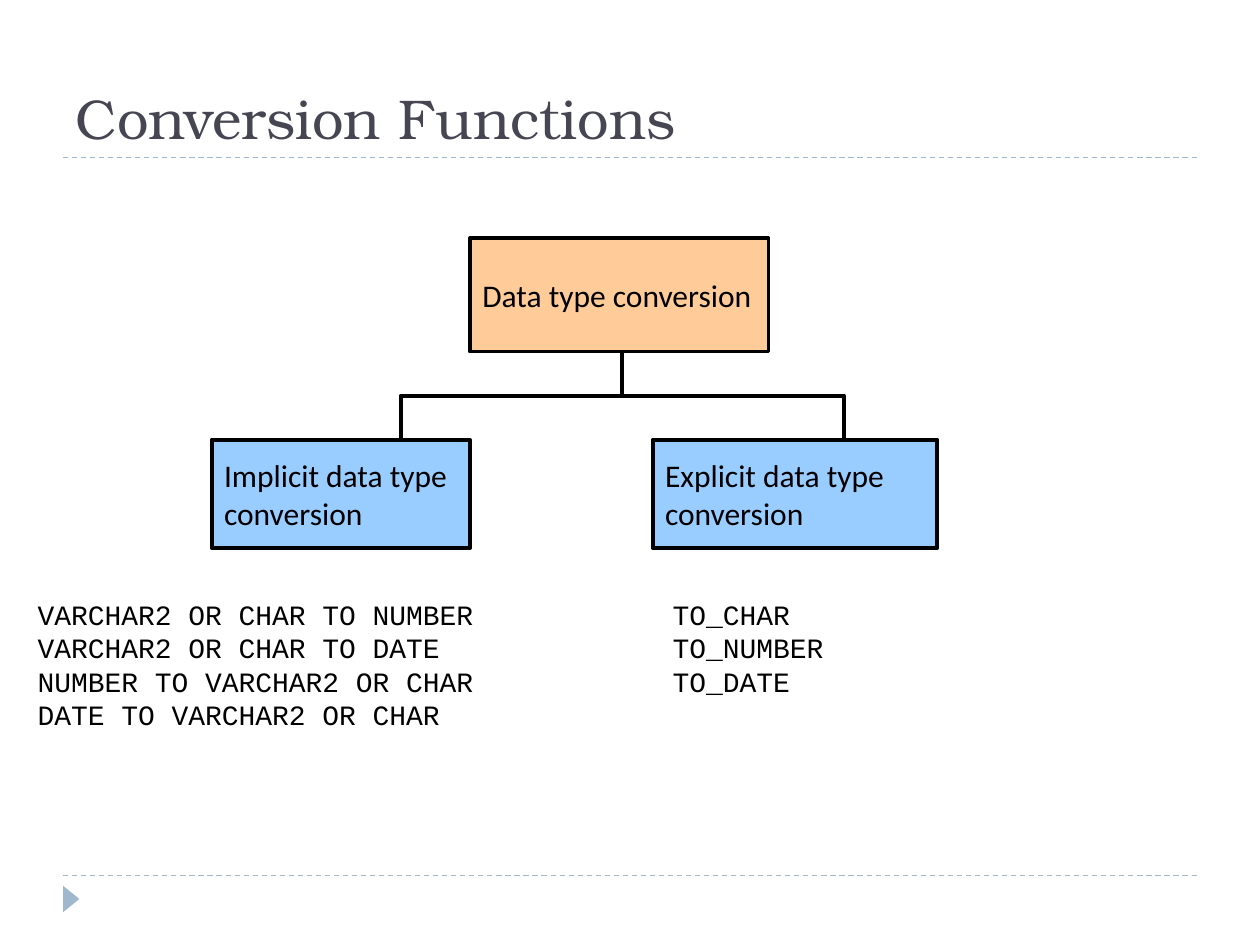
from dataclasses import dataclass

from lxml import etree
from pptx import Presentation
from pptx.dml.color import RGBColor
from pptx.enum import dml, shapes, text
from pptx.oxml.ns import qn
from pptx.util import Inches, Pt


@dataclass(frozen=True)
class Theme:
    ink: str = "000000"
    title: str = "464653"
    trim: str = "9FB8CD"
    root: str = "FFCC99"
    leaf: str = "99CCFF"
    head: tuple = ("TeX Gyre Bonum", 32)
    body: tuple = ("Calibri", 18)
    code: tuple = ("Courier New", 16)
    thin: float = 0.75
    thick: float = 2.25


THEME = Theme()


def apply(item, values):
    for name, value in values.items():
        setattr(item, name, value)


def write(shape, words, face, color, frame):
    box = shape.text_frame
    box.text = words
    apply(box, frame)
    name, size = face
    for para in box.paragraphs:
        para.alignment = text.PP_ALIGN.LEFT
        apply(para.font, {"name": name, "size": Pt(size), "bold": False})
        para.font.color.rgb = RGBColor.from_string(color)


def stroke(item, color, width, dash=None):
    item.line.color.rgb = RGBColor.from_string(color)
    apply(item.line, {"width": Pt(width), "dash_style": dash})


def fill(shape, color):
    shape.shadow.inherit = False
    shape.fill.solid()
    shape.fill.fore_color.rgb = RGBColor.from_string(color)


def add_line(slide, start, end, *style):
    line = slide.shapes.add_connector(
        shapes.MSO_CONNECTOR.STRAIGHT, *map(Inches, start + end))
    stroke(line, *style)
    etree.SubElement(line._element.spPr, qn("a:effectLst"))


def add_mark(slide):
    mark = slide.shapes.add_shape(
        shapes.MSO_SHAPE.ISOSCELES_TRIANGLE,
        *map(Inches, (0.46, 7.07, 0.21, 0.13)))
    mark.rotation = 90
    fill(mark, THEME.trim)
    mark.line.fill.background()


def add_title(slide, words):
    title = slide.shapes.title
    apply(title, {"left": Inches(0.5), "top": Inches(0.25),
                  "width": Inches(9), "height": Inches(1)})
    write(title, words, THEME.head, THEME.title,
          {"vertical_anchor": text.MSO_ANCHOR.BOTTOM,
           "auto_size": text.MSO_AUTO_SIZE.NONE})


def add_fork(slide, points):
    first, *rest = [tuple(map(Inches, point)) for point in points]
    path = slide.shapes.build_freeform(*first)
    path.add_line_segments(rest, close=False)
    fork = path.convert_to_shape()
    fork.shadow.inherit = False
    fork.fill.background()
    stroke(fork, THEME.ink, THEME.thick)


def add_box(slide, words, place, color):
    box = slide.shapes.add_shape(
        shapes.MSO_SHAPE.RECTANGLE, *map(Inches, place))
    fill(box, color)
    stroke(box, THEME.ink, THEME.thick)
    write(box, words, THEME.body, THEME.ink,
          {"vertical_anchor": text.MSO_ANCHOR.MIDDLE, "word_wrap": False})


def add_list(slide, lines, left, height):
    box = slide.shapes.add_textbox(
        *map(Inches, (left, 4.69, 4.25, height)))
    write(box, "\n".join(lines), THEME.code, THEME.ink, {"word_wrap": True})


def main():
    deck = Presentation()
    apply(deck, {"slide_width": Inches(10), "slide_height": Inches(7.5)})
    slide = deck.slides.add_slide(deck.slide_layouts[5])

    for y in (6.95, 1.25):
        add_line(slide, (0.5, y), (9.5, y),
                 THEME.trim, THEME.thin, dml.MSO_LINE.DASH)
    add_mark(slide)
    add_title(slide, "Conversion Functions")

    add_line(slide, (4.94, 3.14), (4.94, 2.49), THEME.ink, THEME.thick)
    add_fork(slide, [(3.18, 3.76), (3.18, 3.14), (6.7, 3.14), (6.7, 3.66)])
    for kind, left, width in (("Implicit", 1.68, 2.05),
                              ("Explicit", 5.18, 2.26)):
        add_box(slide, f"{kind} data type\nconversion",
                (left, 3.49, width, 0.86), THEME.leaf)
    add_box(slide, "Data type conversion", (3.73, 1.89, 2.37, 0.9), THEME.root)

    add_list(slide, ["VARCHAR2 OR CHAR TO NUMBER", "VARCHAR2 OR CHAR TO DATE",
                     "NUMBER TO VARCHAR2 OR CHAR", "DATE TO VARCHAR2 OR CHAR"],
             0.2, 1.48)
    add_list(slide, ["TO_CHAR", "TO_NUMBER", "TO_DATE"], 5.24, 1.18)

    deck.save("out.pptx")


if __name__ == "__main__":
    main()
